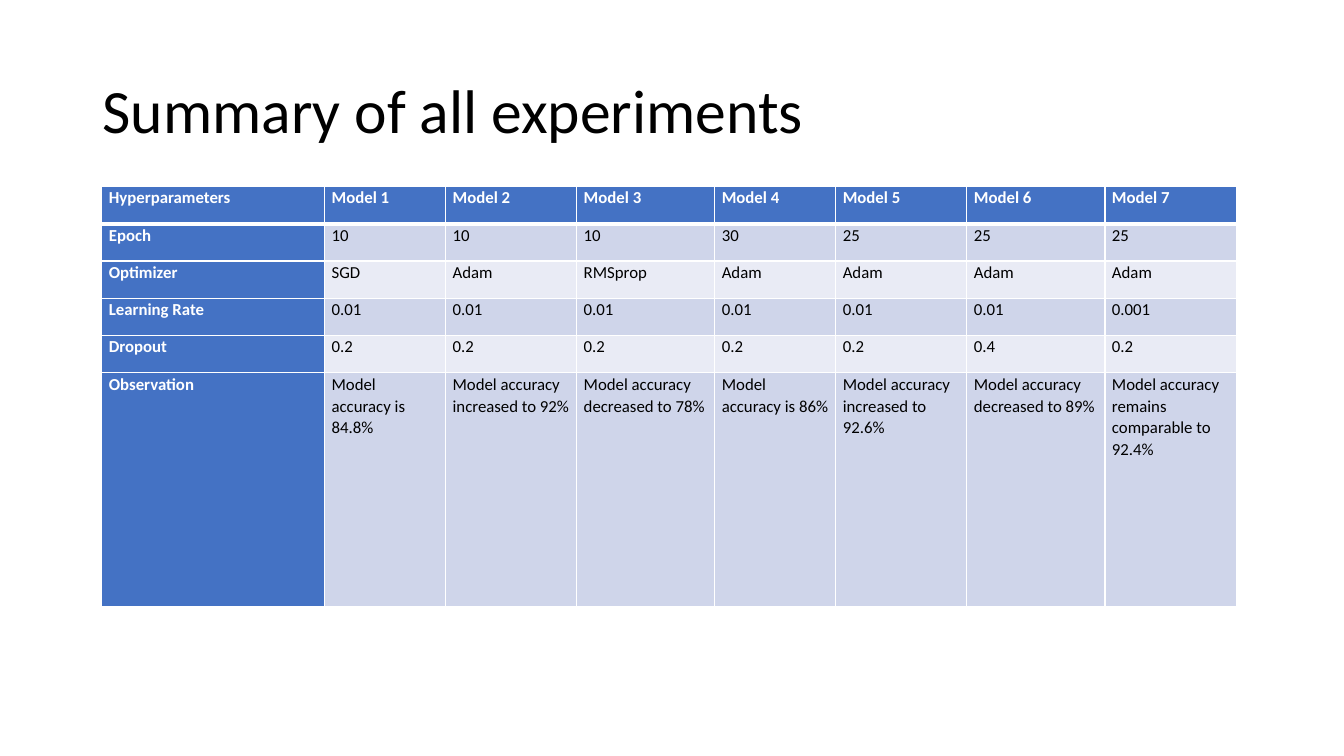
from lxml import etree
from pptx import Presentation
from pptx import util as u
from pptx.dml.color import RGBColor
from pptx.enum import text
from pptx.oxml import ns

BLACK = RGBColor(0, 0, 0)
WHITE = RGBColor(255, 255, 255)
BLUE = RGBColor(0x44, 0x72, 0xC4)
BANDS = RGBColor(0xCF, 0xD5, 0xEA), RGBColor(0xE9, 0xEB, 0xF5)

FONT = "Calibri"
COLS = [2.21, 1.2, 1.3, 1.37, 1.2, 1.3, 1.37, 1.31]
ROWS = [0.37] * 5 + [2.32]
EXPERIMENTS = [
    ["Hyperparameters"] + [f"Model {n}" for n in range(1, 8)],
    ["Epoch", "10", "10", "10", "30", "25", "25", "25"],
    ["Optimizer", "SGD", "Adam", "RMSprop", "Adam", "Adam", "Adam", "Adam"],
    ["Learning Rate"] + ["0.01"] * 6 + ["0.001"],
    ["Dropout", "0.2", "0.2", "0.2", "0.2", "0.2", "0.4", "0.2"],
    ["Observation"] + [f"Model accuracy {result}" for result in (
        "is 84.8%", "increased to 92%", "decreased to 78%", "is 86%",
        "increased to 92.6%", "decreased to 89%", "remains comparable to 92.4%")],
]


def set_all(obj, values):
    for name, value in values.items():
        setattr(obj, name, value)


def write(tf, words, size, color, bold, spacing):
    p = tf.paragraphs[0]
    p.line_spacing = spacing
    r = p.add_run()
    r.text = words
    set_all(r.font, dict(name=FONT, size=u.Pt(size), bold=bold))
    r.font.color.rgb = color


def add_borders(cell, widths):
    tcPr = cell._tc.get_or_add_tcPr()
    for i, (side, width) in enumerate(widths.items()):
        ln = etree.Element(ns.qn(f"a:ln{side}"), w=str(u.Pt(width)))
        fill = etree.SubElement(ln, ns.qn("a:solidFill"))
        etree.SubElement(fill, ns.qn("a:srgbClr"), val=str(WHITE))
        tcPr.insert(i, ln)


def add_title(s, words, left, top, width, height):
    tf = s.shapes.add_textbox(*map(u.Inches, (left, top, width, height))).text_frame
    set_all(tf, dict(word_wrap=True, vertical_anchor=text.MSO_ANCHOR.MIDDLE))
    write(tf, words, 44, BLACK, False, 0.9)


def add_cell(cell, words, row, col):
    head = row == 0 or col == 0
    set_all(cell, dict(margin_left=u.Inches(0.07), margin_right=u.Inches(0.07),
                       margin_top=0, margin_bottom=0))
    cell.fill.solid()
    cell.fill.fore_color.rgb = BLUE if head else BANDS[(row - 1) % 2]
    add_borders(cell, dict(L=1, R=1, T=3 if row == 1 else 1, B=3 if row == 0 else 1))
    write(cell.text_frame, words, 12, WHITE if head else BLACK, head, 1.07)


def add_experiments(s, left, top):
    box = map(u.Inches, (left, top, sum(COLS), sum(ROWS)))
    table = s.shapes.add_table(len(ROWS), len(COLS), *box).table
    set_all(table, dict(first_row=True, first_col=True, horz_banding=True))
    for column, width in zip(table.columns, COLS):
        column.width = u.Inches(width)
    for row, (height, line) in enumerate(zip(ROWS, EXPERIMENTS)):
        table.rows[row].height = u.Inches(height)
        for col, words in enumerate(line):
            add_cell(table.cell(row, col), words, row, col)


def main():
    prs = Presentation()
    set_all(prs, dict(slide_width=u.Inches(13.33), slide_height=u.Inches(7.5)))
    s = prs.slides.add_slide(prs.slide_layouts[6])
    add_title(s, "Summary of all experiments", 0.92, 0.4, 11.5, 1.45)
    add_experiments(s, 1.01, 1.85)
    prs.save("out.pptx")


if __name__ == "__main__":
    main()
